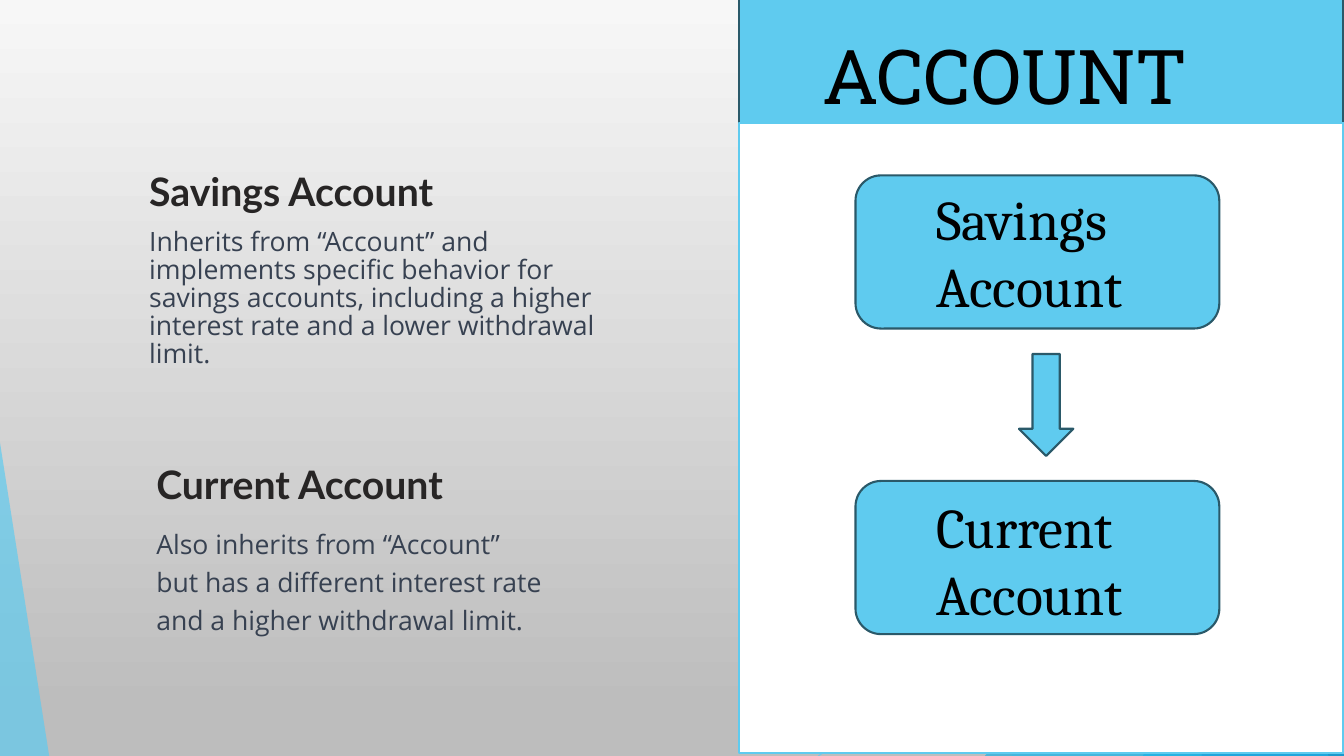
from dataclasses import dataclass

import pptx
import pptx.dml.color
import pptx.enum.shapes
import pptx.enum.text
import pptx.oxml
import pptx.oxml.ns
import pptx.util

Cm, Pt = pptx.util.Cm, pptx.util.Pt
Shapes = pptx.enum.shapes.MSO_SHAPE
AutoSize = pptx.enum.text.MSO_AUTO_SIZE

WIDTH, HEIGHT = 33.87, 19.05
SKY, OUTLINE, WHITE, BLACK = "5FCBEF", "2A5969", "FFFFFF", "000000"
AZURE, HEADING_INK, BODY_INK = "17B0E4", "272525", "374151"


@dataclass
class Ray:
    start: tuple[float, float]
    end: tuple[float, float]


@dataclass
class Facet:
    """A four-sided band from top_x and bottom_x to the right slide edge."""
    top_x: float
    bottom_x: float
    color: str
    opacity: int


@dataclass
class Wedge:
    """A right triangle standing on the bottom slide edge; apex is 0 or 1."""
    left: float
    top: float
    width: float
    apex: int
    color: str
    opacity: int


@dataclass
class Block:
    kind: int
    box: tuple[float, float, float, float]
    fill: str = SKY
    outline: str = OUTLINE


@dataclass
class Label:
    box: tuple[float, float, float, float]
    lines: list[str]
    font: str
    size: int
    color: str = BLACK
    bold: bool = False
    spacing: float | pptx.util.Length | None = None
    wrap: bool = True
    inset: bool = False


RAYS = [Ray((26.04, 0), (29.41, HEIGHT)), Ray((WIDTH, 10.24), (20.62, HEIGHT))]
DECOR = [
    Facet(31.19, 25.5, SKY, 36),
    Facet(26.67, 30.05, SKY, 20),
    Wedge(24.82, 8.46, 9.05, 1, AZURE, 66),
    Facet(25.93, 32.79, AZURE, 50),
    Facet(33.1, 30.28, "2E83C3", 70),
    Facet(30.38, 33.48, "226292", 80),
    Wedge(28.8, 9.98, 5.07, 1, AZURE, 66),
    Wedge(0, 11.15, 1.24, 0, SKY, 70),
]
BLOCKS = [
    Block(Shapes.RECTANGLE, (18.62, -0.08, 15.24, 4.88)),
    Block(Shapes.RECTANGLE, (18.62, 3.1, 15.24, 15.88), WHITE, SKY),
    Block(Shapes.ROUNDED_RECTANGLE, (21.56, 4.42, 9.17, 3.86)),
    Block(Shapes.ROUNDED_RECTANGLE, (21.56, 12.12, 9.17, 3.86)),
    Block(Shapes.DOWN_ARROW, (25.68, 8.92, 1.37, 2.57)),
]


def heading(left: float, top: float, title: str) -> Label:
    return Label((left, top, 7.92, 0.99), [title], "Lato", 28, HEADING_INK,
                 bold=True, spacing=Pt(28), wrap=False)


def account_name(top: float, kind: str) -> Label:
    return Label((23.34, top, 8, 3.68), [kind, "Account"], "Cambria", 40, inset=True)


LABELS = [
    Label((20.47, 0.61, 11.53, 2.57), ["ACCOUNT"], "Roboto Slab", 54, inset=True),
    account_name(4.52, "Savings"),
    account_name(12.29, "Current"),
    heading(3.76, 4.42, "Savings Account"),
    Label((3.76, 5.77, 11.48, 4.88),
          ["Inherits from “Account” and implements specific behavior for savings "
           "accounts, including a higher interest rate and a lower withdrawal limit."],
          "Open Sans", 19, BODY_INK, spacing=0.88),
    heading(3.94, 11.81, "Current Account"),
    Label((3.94, 13.16, 10.16, 3.96),
          ["Also inherits from “Account”",
           "but has a different interest rate",
           "and a higher withdrawal limit."],
          "Open Sans", 19, BODY_INK, spacing=Pt(27), wrap=False),
]


def rgb(color: str) -> pptx.dml.color.RGBColor:
    return pptx.dml.color.RGBColor.from_string(color)


def set_opacity(element, percent: int) -> None:
    color = next(element.iter(pptx.oxml.ns.qn("a:srgbClr")))
    alpha = pptx.oxml.parse_xml(
        f'<a:alpha {pptx.oxml.ns.nsdecls("a")} val="{percent * 1000}"/>')
    color.append(alpha)


def paint_background(slide) -> None:
    fill = slide.background.fill
    fill.gradient()
    fill.gradient_angle = 270
    for stop, (position, color) in zip(fill.gradient_stops, [(0, "F7F7F7"), (0.94, "BDBDBD")]):
        stop.position = position
        stop.color.rgb = rgb(color)


def draw_ray(slide, ray: Ray) -> None:
    line = slide.shapes.add_connector(
        pptx.enum.shapes.MSO_CONNECTOR.STRAIGHT, *map(Cm, ray.start + ray.end))
    line.line.color.rgb = rgb(SKY)
    line.line.width = Pt(0.75)
    properties = line._element.spPr
    set_opacity(properties, 70)
    properties.append(pptx.oxml.parse_xml(f'<a:effectLst {pptx.oxml.ns.nsdecls("a")}/>'))


def draw_decor(slide, part: Facet | Wedge) -> None:
    if isinstance(part, Facet):
        outline = slide.shapes.build_freeform(Cm(part.top_x), 0)
        corners = [(WIDTH, 0), (WIDTH, HEIGHT), (part.bottom_x, HEIGHT)]
        outline.add_line_segments([(Cm(x), Cm(y)) for x, y in corners])
        shape = outline.convert_to_shape()
    else:
        shape = slide.shapes.add_shape(
            Shapes.ISOSCELES_TRIANGLE, Cm(part.left), Cm(part.top),
            Cm(part.width), Cm(HEIGHT - part.top))
        shape.adjustments[0] = part.apex
    shape.shadow.inherit = False
    shape.line.fill.background()
    shape.fill.solid()
    shape.fill.fore_color.rgb = rgb(part.color)
    set_opacity(shape._element.spPr, part.opacity)


def draw_block(slide, block: Block) -> None:
    shape = slide.shapes.add_shape(block.kind, *map(Cm, block.box))
    shape.shadow.inherit = False
    shape.fill.solid()
    shape.fill.fore_color.rgb = rgb(block.fill)
    shape.line.color.rgb = rgb(block.outline)
    shape.line.width = Pt(1.5)


def draw_label(slide, label: Label) -> None:
    frame = slide.shapes.add_textbox(*map(Cm, label.box)).text_frame
    frame.text = "\n".join(label.lines)
    frame.word_wrap = label.wrap
    if label.inset:
        frame.auto_size = AutoSize.SHAPE_TO_FIT_TEXT
    else:
        frame.auto_size = AutoSize.NONE
        frame.margin_left = frame.margin_right = frame.margin_top = frame.margin_bottom = 0
    for paragraph in frame.paragraphs:
        paragraph.line_spacing = label.spacing
        for run in paragraph.runs:
            run.font.name = label.font
            run.font.size = Pt(label.size)
            run.font.bold = label.bold
            run.font.color.rgb = rgb(label.color)


def main() -> None:
    deck = pptx.Presentation()
    deck.slide_width, deck.slide_height = Cm(WIDTH), Cm(HEIGHT)
    slide = deck.slides.add_slide(deck.slide_layouts[6])
    paint_background(slide)
    for ray in RAYS:
        draw_ray(slide, ray)
    for part in DECOR:
        draw_decor(slide, part)
    for block in BLOCKS:
        draw_block(slide, block)
    for label in LABELS:
        draw_label(slide, label)
    deck.save("out.pptx")


if __name__ == "__main__":
    main()
